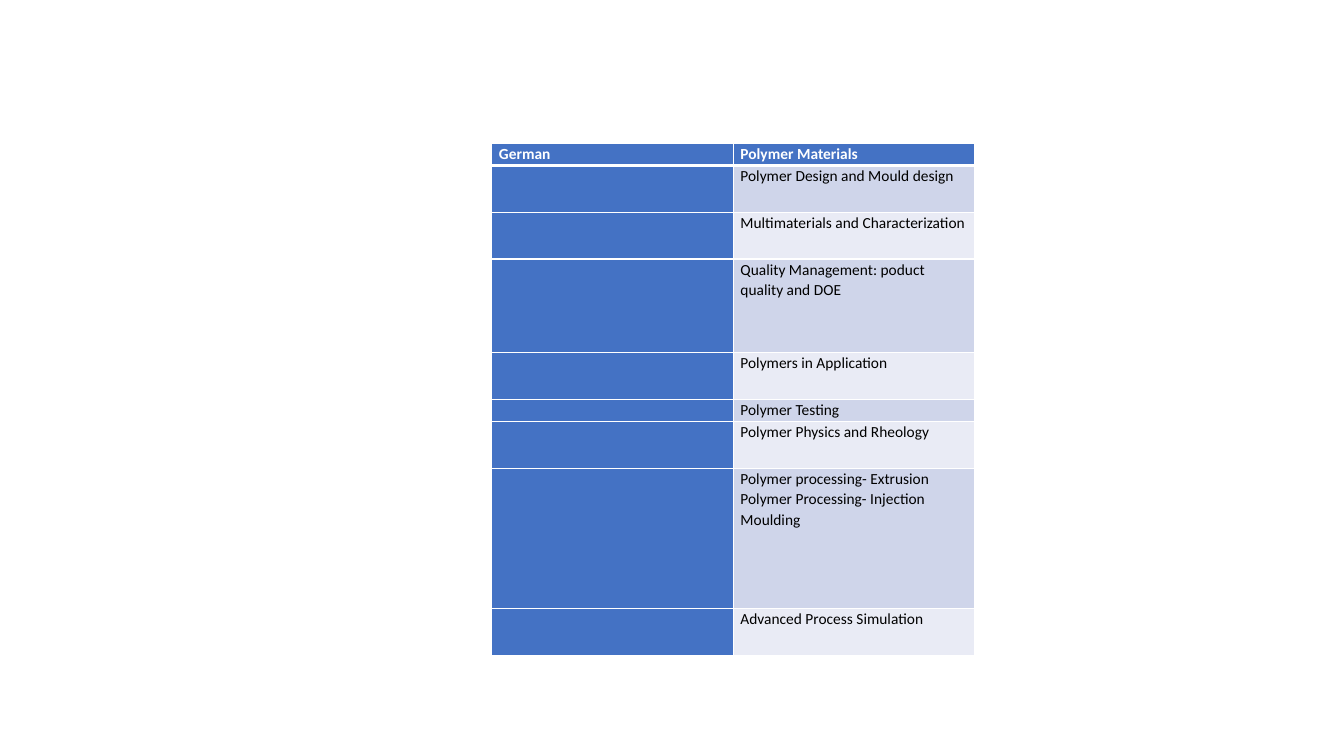
"""Build a slide with a table of polymer courses."""
from dataclasses import dataclass

from lxml.etree import SubElement
from pptx import Presentation
from pptx.dml.color import RGBColor
from pptx.oxml.ns import qn
from pptx.table import _Cell
from pptx.util import Pt


@dataclass(frozen=True)
class Theme:
    font: str = "Calibri"
    size: float = 11
    lead: float = 1.07
    inset: float = 5.2
    thin: float = 1
    thick: float = 3
    head: str = "4472C4"
    bands: tuple[str, str] = ("CFD5EA", "E9EBF5")
    light: str = "FFFFFF"
    dark: str = "000000"


@dataclass(frozen=True)
class Row:
    high: float
    right: str
    left: str = ""


THEME = Theme()
LEFT, TOP, WIDE = 351.2, 102.2, 172.5
ROWS = (
    Row(16, "Polymer Materials", "German"),
    Row(33.4, "Polymer Design and Mould design"),
    Row(33.4, "Multimaterials and Characterization"),
    Row(66.9, "Quality Management: poduct quality and DOE"),
    Row(33.4, "Polymers in Application"),
    Row(16, "Polymer Testing"),
    Row(33.4, "Polymer Physics and Rheology"),
    Row(100.3, "Polymer processing- Extrusion\nPolymer Processing- Injection Moulding"),
    Row(33.4, "Advanced Process Simulation"),
)


def edge(cell: _Cell, side: str, width: float) -> None:
    line = SubElement(cell._tc.get_or_add_tcPr(), qn(f"a:ln{side}"), w=str(Pt(width)))
    fill = SubElement(line, qn("a:solidFill"))
    SubElement(fill, qn("a:srgbClr"), val=THEME.light)


def write(cell: _Cell, text: str, head: bool) -> None:
    cell.text_frame.text = text
    cell.margin_left = cell.margin_right = Pt(THEME.inset)
    cell.margin_top = cell.margin_bottom = Pt(0)
    for para in cell.text_frame.paragraphs:
        para.line_spacing = THEME.lead
        for run in para.runs:
            font = run.font
            font.name, font.size, font.bold = THEME.font, Pt(THEME.size), head
            font.color.rgb = RGBColor.from_string(THEME.light if head else THEME.dark)
        SubElement(para._p, qn("a:endParaRPr"), sz=str(int(THEME.size * 100)))


def paint(cell: _Cell, row: int, col: int) -> None:
    edge(cell, "L", THEME.thin)
    edge(cell, "R", THEME.thin)
    edge(cell, "T", THEME.thick if row == 1 else THEME.thin)
    edge(cell, "B", THEME.thick if row == 0 else THEME.thin)
    solid = row == 0 or col == 0
    cell.fill.solid()
    cell.fill.fore_color.rgb = RGBColor.from_string(
        THEME.head if solid else THEME.bands[(row - 1) % 2])


def main() -> None:
    deck = Presentation()
    deck.slide_width, deck.slide_height = Pt(960), Pt(540)
    slide = deck.slides.add_slide(deck.slide_layouts[6])
    total = sum(row.high for row in ROWS)
    table = slide.shapes.add_table(
        len(ROWS), 2, Pt(LEFT), Pt(TOP), Pt(2 * WIDE), Pt(total)).table
    for col in table.columns:
        col.width = Pt(WIDE)
    for r, row in enumerate(ROWS):
        table.rows[r].height = Pt(row.high)
        for c, text in enumerate((row.left, row.right)):
            cell = table.cell(r, c)
            write(cell, text, r == 0)
            paint(cell, r, c)
    deck.save("out.pptx")


if __name__ == "__main__":
    main()
